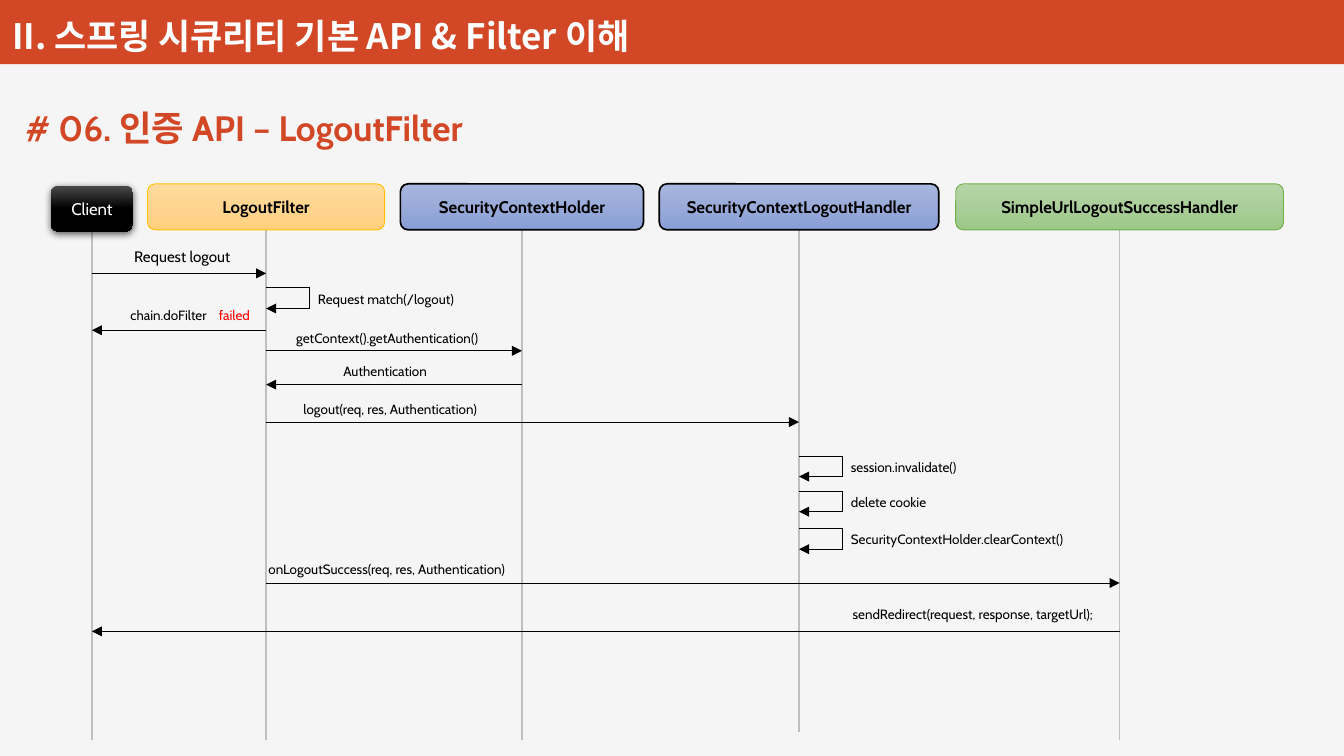
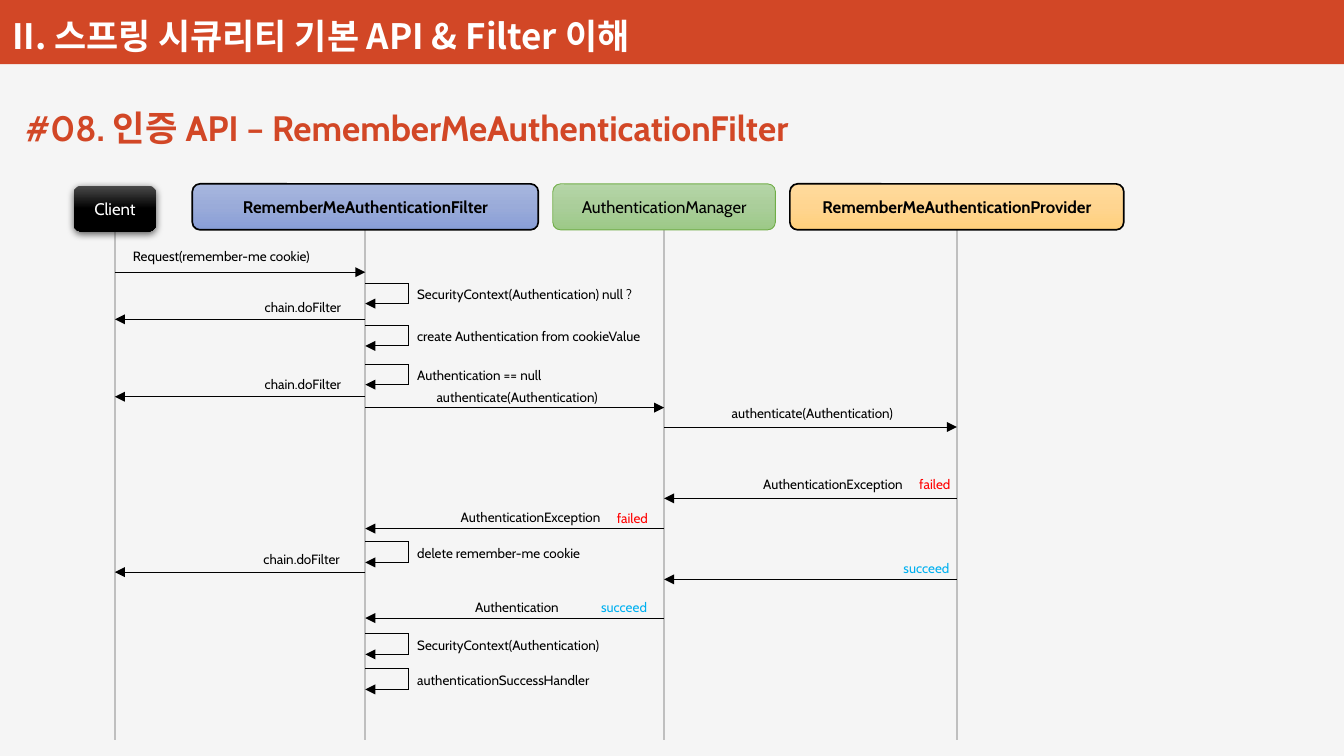
"""Build two sequence-diagram slides on security filters."""
import dataclasses

import lxml.etree
import pptx
import pptx.dml.color
import pptx.enum.shapes
import pptx.enum.text
import pptx.oxml
import pptx.oxml.ns
import pptx.util

qn = pptx.oxml.ns.qn
Shape = pptx.enum.shapes.MSO_SHAPE
Anchor = pptx.enum.text.MSO_ANCHOR
Align = pptx.enum.text.PP_ALIGN
Fit = pptx.enum.text.MSO_AUTO_SIZE


@dataclasses.dataclass(frozen=True)
class Theme:
    """Colours, fonts, type sizes and line widths."""
    accent: str = "D24726"
    paper: str = "F5F5F5"
    white: str = "FFFFFF"
    ink: str = "000000"
    lifeline: str = "BFBFBF"
    latin: str = "Cabin"
    korean: str = "Noto Sans CJK KR"
    band_size: float = 20.8
    title_size: float = 21
    box_size: float = 10
    thin: float = 0.5
    thick: float = 1
    gradients: dict = dataclasses.field(default_factory=lambda: {
        "client": ("4B4B4B", "000000", "000000"),
        "amber": ("FFDB9E", "FFD590", "FFD07C"),
        "blue": ("A8B7DF", "9AABD9", "889ED7"),
        "green": ("B5D5A7", "AACE9A", "9CC987"),
    })
    outlines: dict = dataclasses.field(default_factory=lambda: {
        "amber": "FFC000", "green": "70AD47"})
    notes: dict = dataclasses.field(default_factory=lambda: {
        "plain": (8, "000000"), "lead": (9, "000000"),
        "failed": (8, "FF0000"), "succeed": (8, "00B0F0")})


def grid(units):
    """Turn grid columns or rows, ten to the inch, into a length."""
    return pptx.util.Inches(units / 10)


def rgb(code):
    """Turn a hex code into a colour."""
    return pptx.dml.color.RGBColor.from_string(code)


def put(target, formats):
    """Set attributes from a dict of format values."""
    for name, value in formats.items():
        setattr(target, name, value)


class Deck:
    """Hold the theme, the presentation and the current page."""
    COLUMNS, ROWS = 111.1, 62.5
    BAND_ROWS = 5.3
    BOX_TOP, BOX_ROWS = 15.2, 3.8
    LIFELINE_END = 61.2
    LOOP_COLUMNS, LOOP_ROWS = 3.6, 1.7
    NOTE_ROWS = 2.4

    def __init__(self, theme, heading):
        """Open an empty presentation with a plain title-only layout."""
        self.theme = theme
        self.heading = heading
        self.show = pptx.Presentation()
        put(self.show, {"slide_width": grid(self.COLUMNS), "slide_height": grid(self.ROWS)})
        self.layout = self.show.slide_layouts.get_by_name("Title Only")
        self.page = None
        self.lanes = []

    def start(self, title):
        """Add a page and fill its title."""
        first = self.page is None
        self.page = self.show.slides.add_slide(self.layout)
        if first:
            self.frame()
        box = self.page.shapes.title
        put(box, {"left": grid(1.1), "top": grid(8.3), "width": grid(71.4), "height": grid(4.5)})
        self.text(box, title, self.theme.title_size, self.theme.accent, bold=True,
                  frame={"word_wrap": False, "auto_size": Fit.NONE,
                         "vertical_anchor": Anchor.TOP})

    def frame(self):
        """Put the background, band and heading on the shared layout."""
        fill = self.layout.background.fill
        fill.solid()
        fill.fore_color.rgb = rgb(self.theme.paper)
        for holder in list(self.layout.placeholders):
            if holder.placeholder_format.type != pptx.enum.shapes.PP_PLACEHOLDER.TITLE:
                holder.element.getparent().remove(holder.element)
        band = self.page.shapes.add_shape(
            Shape.RECTANGLE, 0, 0, grid(self.COLUMNS), grid(self.BAND_ROWS))
        band.shadow.inherit = False
        band.fill.solid()
        band.fill.fore_color.rgb = rgb(self.theme.accent)
        band.line.fill.background()
        box = self.page.shapes.add_textbox(grid(0.1), grid(-1), grid(61.7), grid(6.1))
        side, edge = grid(0.9), grid(0.4)
        self.text(box, self.heading, self.theme.band_size, self.theme.white, bold=True,
                  font=self.theme.korean,
                  frame={"word_wrap": True, "vertical_anchor": Anchor.BOTTOM,
                         "margin_left": side, "margin_right": side,
                         "margin_top": edge, "margin_bottom": edge})
        for item in (band, box):
            self.layout.shapes.element.append(item.element)

    def text(self, box, words, size, colour, bold=False, font=None, align=Align.LEFT, frame=None):
        """Set one formatted paragraph in a box."""
        put(box.text_frame, frame or {})
        para = box.text_frame.paragraphs[0]
        para.alignment = align
        span = para.add_run()
        span.text = words
        put(span.font, {"name": font or self.theme.latin, "size": pptx.util.Pt(size),
                        "bold": bold})
        span.font.color.rgb = rgb(colour)
        for props in list(box.element.iter(qn("a:rPr"))):
            lxml.etree.SubElement(props, qn("a:ea")).set("typeface", self.theme.korean)

    def line(self, start, end, colour=None, width=None, arrow=False):
        """Draw a straight line between two grid points."""
        link = self.page.shapes.add_connector(
            pptx.enum.shapes.MSO_CONNECTOR.STRAIGHT, *map(grid, (*start, *end)))
        link.line.color.rgb = rgb(colour or self.theme.ink)
        link.line.width = pptx.util.Pt(width or self.theme.thin)
        props = link.element.spPr
        if arrow:
            lxml.etree.SubElement(props.find(qn("a:ln")), qn("a:tailEnd")).set("type", "triangle")
        lxml.etree.SubElement(props, qn("a:effectLst"))

    def shade(self, box, colours):
        """Fill a box with a three-stop gradient from top to bottom."""
        box.fill.gradient()
        box.fill.gradient_angle = 270
        stops = next(box.element.iter(qn("a:gsLst")))
        for stop in list(stops):
            stops.remove(stop)
        for place, colour in zip((0, 50000, 100000), colours):
            stop = lxml.etree.SubElement(stops, qn("a:gs"), pos=str(place))
            lxml.etree.SubElement(stop, qn("a:srgbClr"), val=colour)

    def cast_shadow(self, box):
        """Give a box a soft shadow below."""
        effects = box.element.spPr.find(qn("a:effectLst"))
        shadow = lxml.etree.SubElement(
            effects, qn("a:outerShdw"), blurRad="57150", dist="19050", dir="5400000",
            algn="ctr", rotWithShape="0")
        colour = lxml.etree.SubElement(shadow, qn("a:srgbClr"), val=self.theme.ink)
        lxml.etree.SubElement(colour, qn("a:alpha"), val="63000")

    def participant(self, name, left, width, look, outlined=False, bold=True, end=LIFELINE_END):
        """Draw a named box with its lifeline."""
        client = look == "client"
        centre = left + width / 2
        self.lanes.append(centre)
        self.line((centre, self.BOX_TOP + self.BOX_ROWS), (centre, end),
                  self.theme.lifeline, self.theme.thick)
        top = self.BOX_TOP + (0.15 if client else 0)
        box = self.page.shapes.add_shape(
            Shape.ROUNDED_RECTANGLE, *map(grid, (left, top, width, self.BOX_ROWS)))
        box.shadow.inherit = False
        self.shade(box, self.theme.gradients[look])
        if client:
            box.line.fill.background()
            self.cast_shadow(box)
        else:
            outline = self.theme.ink if outlined else self.theme.outlines[look]
            box.line.color.rgb = rgb(outline)
            box.line.width = pptx.util.Pt(self.theme.thick if outlined else self.theme.thin)
        self.text(box, name, self.theme.box_size,
                  self.theme.white if client else self.theme.ink,
                  bold=bold and not client, align=Align.CENTER,
                  frame={"word_wrap": True, "vertical_anchor": Anchor.MIDDLE})

    def note(self, words, left, top, width, tone="plain"):
        """Add a small label."""
        box = self.page.shapes.add_textbox(*map(grid, (left, top, width, self.NOTE_ROWS)))
        size, colour = self.theme.notes[tone]
        self.text(box, words, size, colour,
                  frame={"word_wrap": False, "auto_size": Fit.SHAPE_TO_FIT_TEXT})

    def message(self, source, target, row, *notes):
        """Draw an arrow between two lifelines with its labels."""
        self.line((self.lanes[source], row), (self.lanes[target], row), arrow=True)
        for note in notes:
            self.note(*note)

    def loop(self, lane, row, words, width):
        """Draw a call from a lifeline to itself with its label."""
        near = self.lanes[lane]
        far, low = near + self.LOOP_COLUMNS, row + self.LOOP_ROWS
        corners = [(near, row), (far, row), (far, low), (near, low)]
        for start, end in zip(corners, corners[1:]):
            self.line(start, end, arrow=end == corners[-1])
        self.note(words, near + 3.3, row - 0.25, width)

    def diagram(self, title, participants, messages, loops):
        """Build a whole sequence-diagram page."""
        self.start(title)
        self.lanes = []
        for participant in participants:
            self.participant(*participant)
        for message in messages:
            self.message(*message)
        for loop in loops:
            self.loop(*loop)


LOGOUT = {
    "title": "# 06. 인증 API – LogoutFilter",
    "participants": [
        ("Client", 4.2, 6.8, "client"),
        ("LogoutFilter", 12.2, 19.6, "amber"),
        ("SecurityContextHolder", 33.1, 20.1, "blue", True),
        ("SecurityContextLogoutHandler", 54.5, 23.1, "blue", True, True, 60.5),
        ("SimpleUrlLogoutSuccessHandler", 79, 27.1, "green"),
    ],
    "messages": [
        (0, 1, 22.6, ("Request logout", 10.1, 20, 10.5, "lead")),
        (1, 0, 27.3, ("chain.doFilter", 9.8, 24.9, 8.7), ("failed", 17.1, 24.9, 4.8, "failed")),
        (1, 2, 29, ("getContext().getAuthentication()", 23.5, 26.8, 18)),
        (2, 1, 31.8, ("Authentication", 27.4, 29.5, 9.3)),
        (1, 3, 34.9, ("logout(req, res, Authentication)", 24.1, 32.7, 17.8)),
        (1, 4, 48.2, ("onLogoutSuccess(req, res, Authentication)", 21.2, 45.9, 23.1)),
        (4, 0, 52.2, ("sendRedirect(request, response, targetUrl);", 69.5, 49.6, 23.8)),
    ],
    "loops": [
        (1, 23.8, "Request match(/logout)", 13.8),
        (3, 37.7, "session.invalidate()", 11.3),
        (3, 40.6, "delete cookie", 8.7),
        (3, 43.7, "SecurityContextHolder.clearContext()", 20.3),
    ],
}

REMEMBER_ME = {
    "title": "#08. 인증 API – RememberMeAuthenticationFilter",
    "participants": [
        ("Client", 6.1, 6.8, "client"),
        ("RememberMeAuthenticationFilter", 15.9, 28.6, "blue", True),
        ("AuthenticationManager", 45.7, 18.4, "green", False, False),
        ("RememberMeAuthenticationProvider", 65.3, 27.6, "amber", True),
    ],
    "messages": [
        (0, 1, 22.5, ("Request(remember-me cookie)", 10, 20, 17.4)),
        (1, 0, 26.4, ("chain.doFilter", 20.9, 24.2, 8.7)),
        (1, 0, 32.8, ("chain.doFilter", 20.9, 30.6, 8.7)),
        (1, 2, 33.7, ("authenticate(Authentication)", 35.1, 31.7, 16.2)),
        (2, 3, 35.3, ("authenticate(Authentication)", 59.5, 33, 16.2)),
        (3, 2, 41.2, ("AuthenticationException", 62.1, 38.9, 14.1),
         ("failed", 75, 38.9, 4.8, "failed")),
        (2, 1, 43.7, ("AuthenticationException", 37.1, 41.6, 14.1),
         ("failed", 50, 41.7, 4.8, "failed")),
        (1, 0, 47.3, ("chain.doFilter", 20.8, 45.1, 8.7)),
        (3, 2, 47.9, ("succeed", 73.7, 45.8, 6, "succeed")),
        (2, 1, 51.1, ("Authentication", 38.3, 49, 9.3), ("succeed", 48.7, 49, 6, "succeed")),
    ],
    "loops": [
        (1, 23.4, "SecurityContext(Authentication) null ?", 21),
        (1, 26.9, "create Authentication from cookieValue", 21.7),
        (1, 30.1, "Authentication == null", 13.6),
        (1, 44.8, "delete remember-me cookie", 16.1),
        (1, 52.4, "SecurityContext(Authentication)", 17.8),
        (1, 55.3, "authenticationSuccessHandler", 17.2),
    ],
}


def main():
    """Build both pages and save the deck."""
    deck = Deck(Theme(), "II. 스프링 시큐리티 기본 API & Filter 이해")
    for content in (LOGOUT, REMEMBER_ME):
        deck.diagram(**content)
    deck.show.save("out.pptx")


if __name__ == "__main__":
    main()
